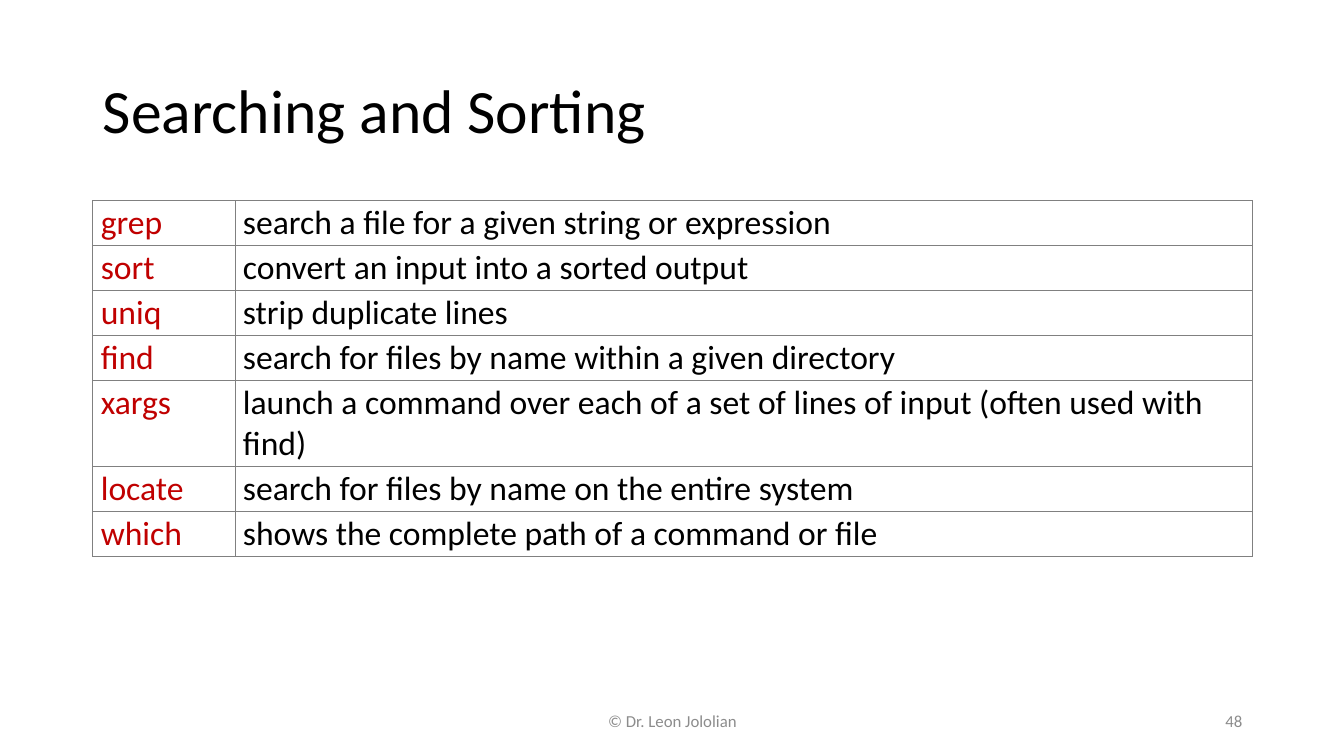
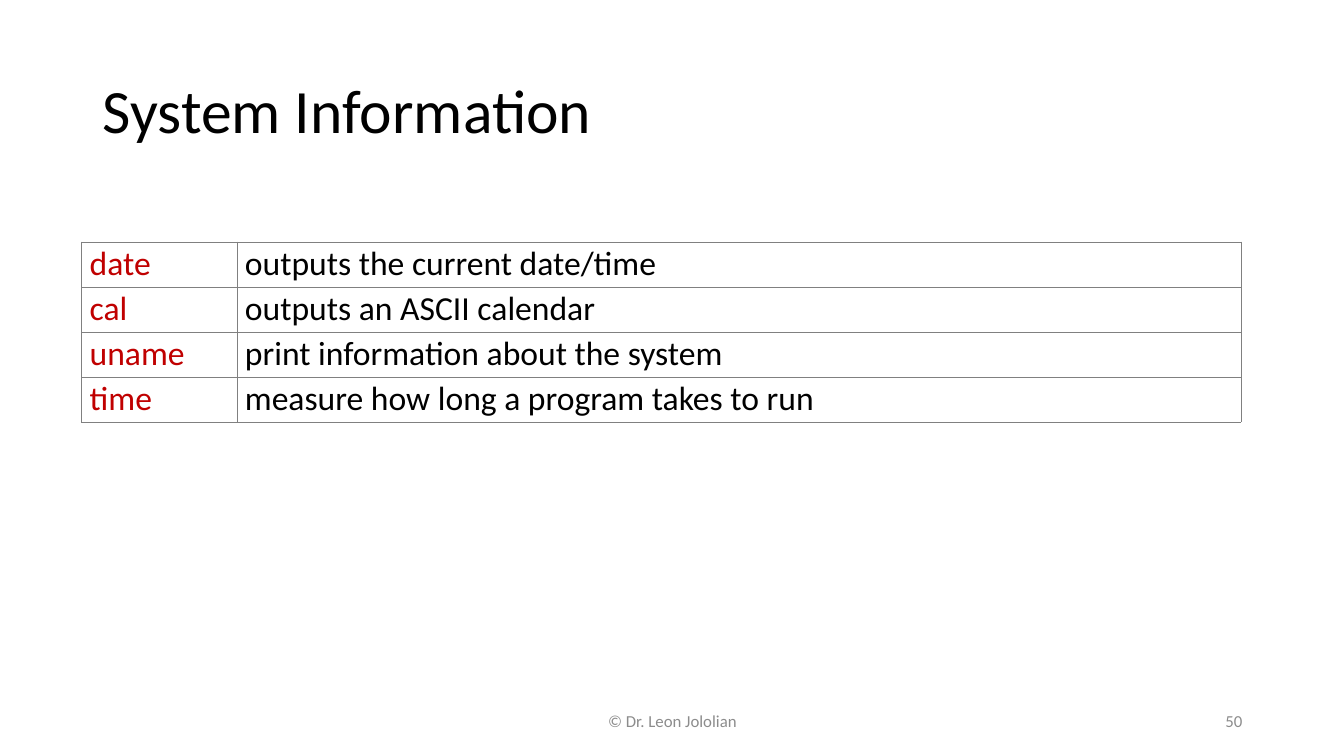
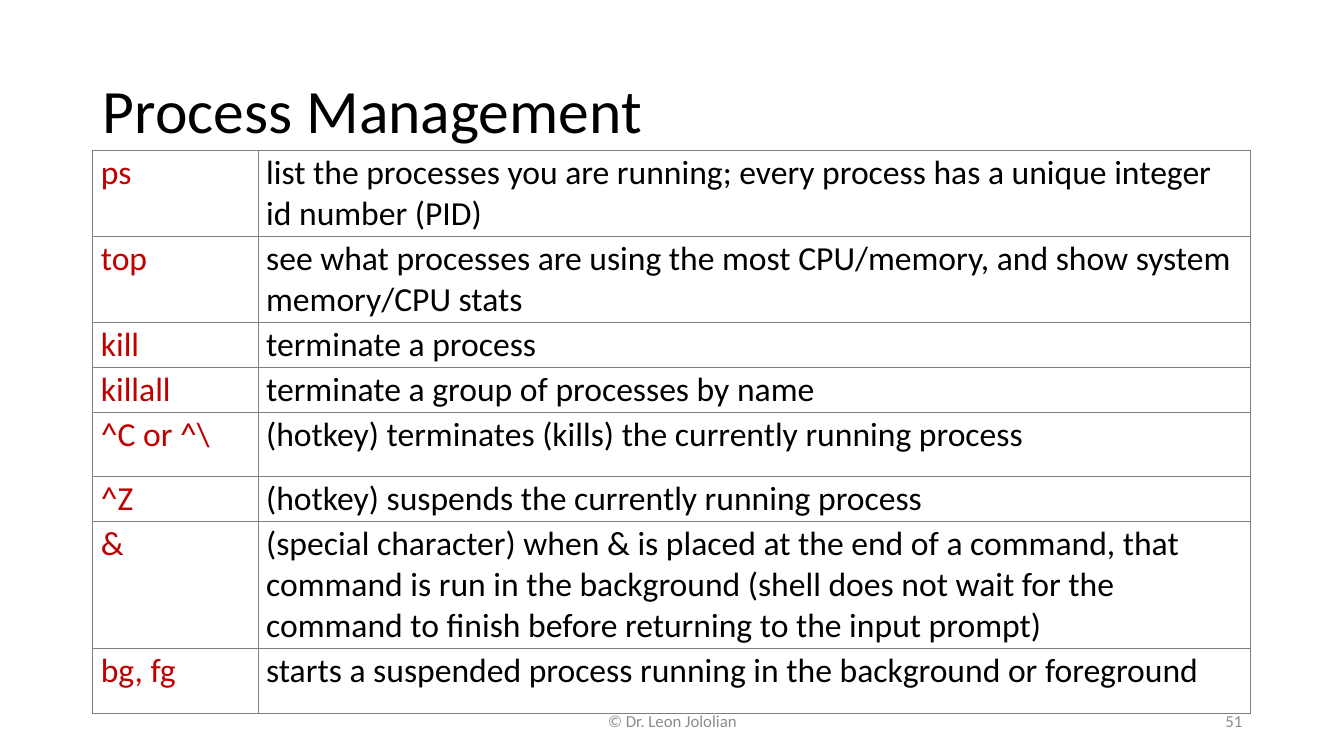
from lxml import etree
from pptx import Presentation
from pptx.dml.color import RGBColor
from pptx.enum import text
from pptx.oxml import ns
from pptx.util import Inches, Pt

BLACK = RGBColor(0x00, 0x00, 0x00)
RED = RGBColor(0xC0, 0x00, 0x00)
GRAY = RGBColor(0x8C, 0x8C, 0x8C)
BORDER = RGBColor(0x80, 0x80, 0x80)
FONT = "Calibri"
FOOTER = "© Dr. Leon Jololian"
TITLE_BOX = (0.92, 0.4, 11.5, 1.45)
FOOTER_BOX = (4.42, 6.95, 4.5, 0.4)
NUMBER_BOX = (9.42, 6.95, 3, 0.4)
ONE_LINE, ONE_LINE_TALL, TWO_LINES, THREE_LINES = 0.44, 0.64, 0.85, 1.25

SEARCHING = [
    ("grep", "search a file for a given string or expression", ONE_LINE),
    ("sort", "convert an input into a sorted output", ONE_LINE),
    ("uniq", "strip duplicate lines", ONE_LINE),
    ("find", "search for files by name within a given directory", ONE_LINE),
    ("xargs", "launch a command over each of a set of lines of input "
     "(often used with find)", TWO_LINES),
    ("locate", "search for files by name on the entire system", ONE_LINE),
    ("which", "shows the complete path of a command or file", ONE_LINE),
]
SYSTEM = [
    ("date", "outputs the current date/time", ONE_LINE),
    ("cal", "outputs an ASCII calendar", ONE_LINE),
    ("uname", "print information about the system", ONE_LINE),
    ("time", "measure how long a program takes to run", ONE_LINE),
]
PROCESSES = [
    ("ps", "list the processes you are running; every process has a unique "
     "integer id number (PID)", TWO_LINES),
    ("top", "see what processes are using the most CPU/memory, and show "
     "system memory/CPU stats", TWO_LINES),
    ("kill", "terminate a process", ONE_LINE),
    ("killall", "terminate a group of processes by name", ONE_LINE),
    ("^C or ^\\", "(hotkey) terminates (kills) the currently running process",
     ONE_LINE_TALL),
    ("^Z", "(hotkey) suspends the currently running process", ONE_LINE),
    ("&", "(special character) when & is placed at the end of a command, "
     "that command is run in the background (shell does not wait for the "
     "command to finish before returning to the input prompt)", THREE_LINES),
    ("bg, fg", "starts a suspended process running in the background or "
     "foreground", ONE_LINE_TALL),
]
SLIDES = [
    ("Searching and Sorting", "48", (0.92, 1.99, 11.5), 1.41, SEARCHING),
    ("System Information", "50", (0.81, 2.4, 11.5), 1.54, SYSTEM),
    ("Process Management", "51", (0.92, 1.49, 11.48), 1.64, PROCESSES),
]


def add_run(paragraph, words, size, color):
    """Add one run in the shared font."""
    run = paragraph.add_run()
    run.text = words
    run.font.name = FONT
    run.font.size = Pt(size)
    run.font.color.rgb = color


def add_title(slide, words, box):
    """Move the title placeholder into the box and fill it."""
    title = slide.shapes.title
    title.left, title.top, title.width, title.height = map(Inches, box)
    frame = title.text_frame
    frame.auto_size = text.MSO_AUTO_SIZE.NONE
    frame.vertical_anchor = text.MSO_ANCHOR.MIDDLE
    paragraph = frame.paragraphs[0]
    paragraph.alignment = text.PP_ALIGN.LEFT
    paragraph.line_spacing = 0.9
    add_run(paragraph, words, 44, BLACK)


def add_footer_text(slide, words, box, alignment):
    """Add one small gray text at the foot of the slide."""
    frame = slide.shapes.add_textbox(*map(Inches, box)).text_frame
    frame.word_wrap = True
    frame.vertical_anchor = text.MSO_ANCHOR.MIDDLE
    paragraph = frame.paragraphs[0]
    paragraph.alignment = alignment
    add_run(paragraph, words, 12, GRAY)


def format_cell(cell, words, color):
    """Fill one cell with text inside thin gray borders."""
    cell.margin_left = cell.margin_right = Inches(0.08)
    cell.margin_top = cell.margin_bottom = Inches(0.02)
    properties = cell._tc.get_or_add_tcPr()
    for side in ("a:lnL", "a:lnR", "a:lnT", "a:lnB"):
        line = etree.SubElement(properties, ns.qn(side), w=str(Pt(0.6)))
        fill = etree.SubElement(line, ns.qn("a:solidFill"))
        etree.SubElement(fill, ns.qn("a:srgbClr"), val=str(BORDER))
    cell.fill.background()
    add_run(cell.text_frame.paragraphs[0], words, 24, color)


def add_command_table(slide, box, command_width, commands):
    """Add a table of commands and their meanings at the box."""
    left, top, width = box
    height = sum(row_height for *_, row_height in commands)
    table = slide.shapes.add_table(
        len(commands), 2, *map(Inches, (left, top, width, height))).table
    table.first_row = table.horz_banding = False
    table.columns[0].width = Inches(command_width)
    table.columns[1].width = Inches(width - command_width)
    for index, (command, meaning, row_height) in enumerate(commands):
        table.rows[index].height = Inches(row_height)
        format_cell(table.cell(index, 0), command, RED)
        format_cell(table.cell(index, 1), meaning, BLACK)


def add_command_slide(presentation, title, number, box, command_width, commands):
    """Add a slide with a title, a command table and a footer."""
    slide = presentation.slides.add_slide(presentation.slide_layouts[5])
    add_title(slide, title, TITLE_BOX)
    add_command_table(slide, box, command_width, commands)
    add_footer_text(slide, FOOTER, FOOTER_BOX, text.PP_ALIGN.CENTER)
    add_footer_text(slide, number, NUMBER_BOX, text.PP_ALIGN.RIGHT)


def main():
    """Build and save the presentation."""
    presentation = Presentation()
    presentation.slide_width = Inches(13.33)
    presentation.slide_height = Inches(7.5)
    for content in SLIDES:
        add_command_slide(presentation, *content)
    presentation.save("out.pptx")


if __name__ == "__main__":
    main()
